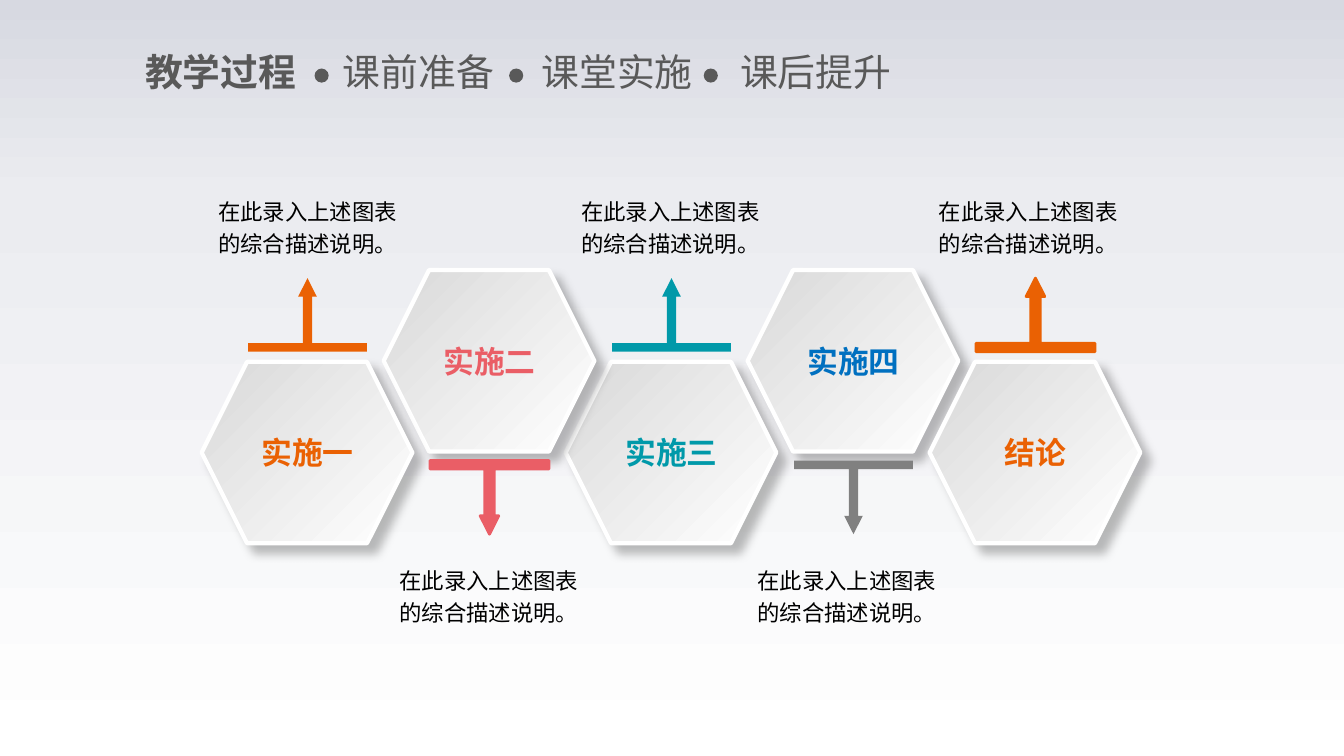
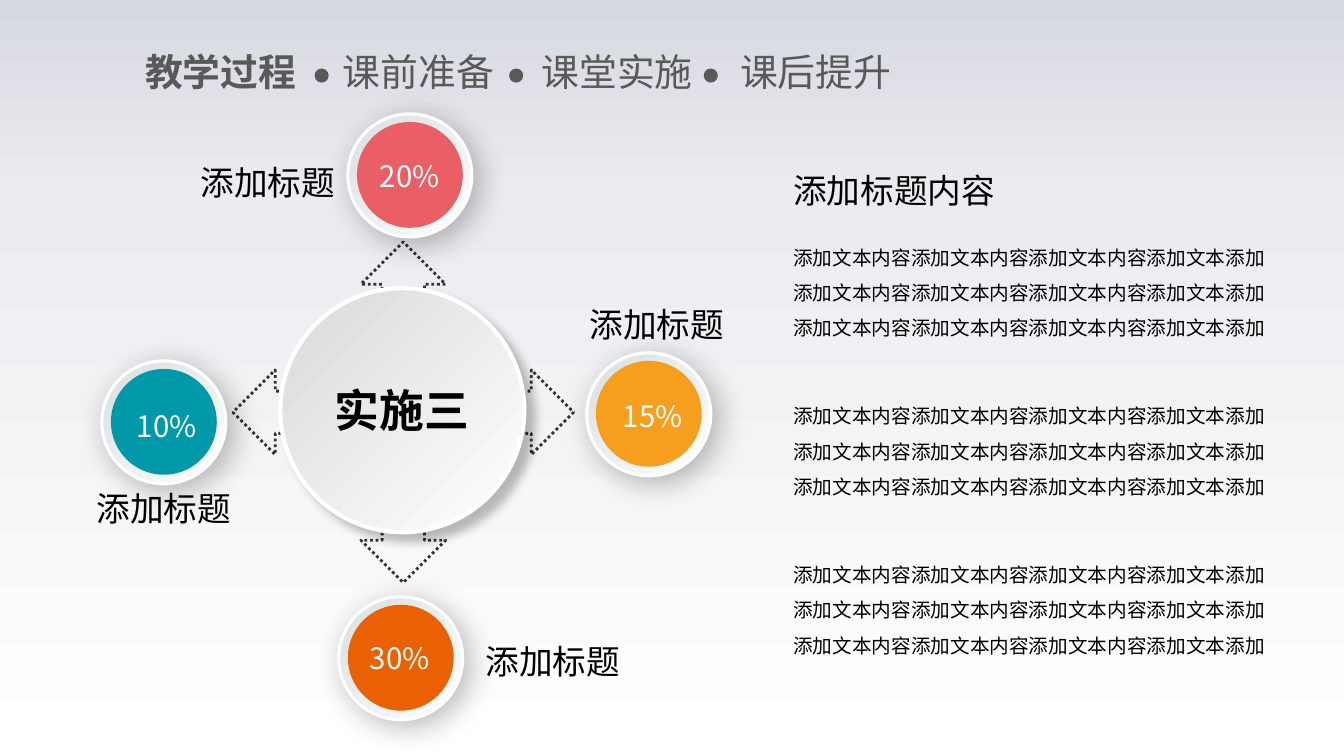
from lxml import etree
from pptx import Presentation
from pptx.dml.color import RGBColor
from pptx.enum.dml import MSO_LINE
from pptx.enum.shapes import MSO_SHAPE as SHAPE
from pptx.enum.text import MSO_AUTO_SIZE as AUTO_SIZE, PP_ALIGN as ALIGN
from pptx.oxml.ns import qn
from pptx.util import Inches, Pt

FONT = "Noto Sans CJK SC"
ORANGE, PINK, TEAL = "EA6103", "EA5E66", "0099A9"
BLUE, GREY, AMBER = "0070C0", "808080", "F69F1E"
BLACK, WHITE, TITLE_GREY, DASH_GREY = "000000", "FFFFFF", "595959", "333333"
BACKDROP = [(0, "D7D9E1"), (26, "EBECF0"), (100, WHITE)]
PLATE = [(0, "D9D9D9"), (100, WHITE)]
RING = [(0, "D9DEDF"), (100, WHITE)]
PLATE_SHADOW, RING_SHADOW = (25, 7, 8), (28, 22, 6)
LINE_HEIGHT = 1.2


def rgb(color):
    return RGBColor.from_string(color)


def gradient(fill, owner, stops, angle):
    """Fill with (percent, colour) stops; the angle runs clockwise."""
    fill.gradient()
    fill.gradient_angle = -angle % 360
    stop_list = next(owner.iter(qn("a:gsLst")))
    del stop_list[:]
    for percent, color in stops:
        stop = etree.SubElement(stop_list, qn("a:gs"), pos=str(percent * 1000))
        etree.SubElement(stop, qn("a:srgbClr"), val=color)


def add_shadow(shape, alpha, blur, distance):
    effects = shape._element.spPr.find(qn("a:effectLst"))
    outer = etree.SubElement(
        effects, qn("a:outerShdw"), blurRad=str(Pt(blur)), dist=str(Pt(distance)),
        dir=str(45 * 60000), algn="tl", rotWithShape="0")
    color = etree.SubElement(outer, qn("a:srgbClr"), val=BLACK)
    etree.SubElement(color, qn("a:alpha"), val=str(alpha * 1000))


def add_shape(slide, kind, left, top, width, height, color=None, outline=None):
    shape = slide.shapes.add_shape(
        kind, Inches(left), Inches(top), Inches(width), Inches(height))
    shape.shadow.inherit = False
    if color:
        shape.fill.solid()
        shape.fill.fore_color.rgb = rgb(color)
    if outline:
        shape.line.color.rgb = rgb(outline)
    else:
        shape.line.fill.background()
    return shape


def add_raised(slide, kind, left, top, width, height, stops, border, shadow):
    """Pale gradient shape with a white rim and a soft shadow."""
    shape = add_shape(slide, kind, left, top, width, height, outline=WHITE)
    gradient(shape.fill, shape._element, stops, 45)
    shape.line.width = Pt(border)
    add_shadow(shape, *shadow)


def add_text(slide, left, top, width, height, lines, size, color=BLACK,
             bold=False, align=ALIGN.LEFT, spacing=1, inset=True):
    box = slide.shapes.add_textbox(
        Inches(left), Inches(top), Inches(width), Inches(height))
    frame = box.text_frame
    frame.word_wrap = True
    frame.auto_size = AUTO_SIZE.SHAPE_TO_FIT_TEXT
    if not inset:
        frame.margin_left = frame.margin_right = 0
        frame.margin_top = frame.margin_bottom = 0
    frame.text = lines
    for paragraph in frame.paragraphs:
        paragraph.alignment = align
        paragraph.line_spacing = Pt(round(size * LINE_HEIGHT * spacing, 1))
        for run in paragraph.runs:
            run.font.name = FONT
            run.font.size = Pt(size)
            run.font.bold = bold
            run.font.color.rgb = rgb(color)
            east_asian = etree.SubElement(run._r.get_or_add_rPr(), qn("a:ea"))
            east_asian.set("typeface", FONT)


def add_title(slide):
    sections = [(1.44, "教学过程"), (3.4, "课前准备"), (5.37, "课堂实施"), (7.34, "课后提升")]
    for index, (left, section) in enumerate(sections):
        add_text(slide, left, 0.48, 1.65, 0.45, section, 27, TITLE_GREY,
                 bold=index == 0, inset=False)
    for left in (3.12, 5.05, 6.98):
        add_shape(slide, SHAPE.OVAL, left, 0.68, 0.14, 0.14, TITLE_GREY)


def add_callout(slide, left, raised, color, outlined):
    kind, top = ((SHAPE.DOWN_ARROW_CALLOUT, 4.57) if raised
                 else (SHAPE.UP_ARROW_CALLOUT, 2.76))
    callout = add_shape(slide, kind, left, top, 1.18, 0.73, color,
                        color if outlined else None)
    for index, value in enumerate((0.126, 0.126, 0.25, 0.115)):
        callout.adjustments[index] = value
    if outlined:
        callout.line.width = Pt(2)


def add_four_way_arrow(slide, center_x, center_y):
    """Dotted outline: one arm, turned by a quarter four times."""
    arm = [(-0.84, -0.84), (-0.21, -0.84), (-0.21, -1.27), (-0.42, -1.27),
           (0, -1.69), (0.42, -1.27), (0.21, -1.27), (0.21, -0.84)]
    points = []
    for _ in range(4):
        points += [(Inches(center_x + x), Inches(center_y + y)) for x, y in arm]
        arm = [(-y, x) for x, y in arm]
    builder = slide.shapes.build_freeform(*points[0])
    builder.add_line_segments(points[1:], close=True)
    arrow = builder.convert_to_shape()
    arrow.shadow.inherit = False
    arrow.fill.background()
    arrow.line.color.rgb = rgb(DASH_GREY)
    arrow.line.width = Pt(2)
    arrow.line.dash_style = MSO_LINE.ROUND_DOT


def build_steps(slide):
    first_left, pitch = 2, 1.805
    steps = [  # label, label colour, callout colour, callout outlined, note left
        ("实施一", ORANGE, ORANGE, False, 2.02),
        ("实施二", PINK, PINK, True, 3.82),
        ("实施三", TEAL, TEAL, False, 5.62),
        ("实施四", BLUE, GREY, False, 7.37),
        ("结论", ORANGE, ORANGE, True, 9.17),
    ]
    for index in (2, 3, 4, 1, 0):
        add_raised(slide, SHAPE.HEXAGON, first_left + index * pitch,
                   2.68 if index % 2 else 3.59, 2.09, 1.8, PLATE, 3, PLATE_SHADOW)
    for index, (label, color, callout_color, outlined, note_left) in enumerate(steps):
        left, raised = first_left + index * pitch, index % 2 == 1
        add_text(slide, left + 0.3, 3.35 if raised else 4.25, 1.5, 0.47, label,
                 22, color, bold=True, align=ALIGN.CENTER)
        add_callout(slide, left + 0.46, raised, callout_color, outlined)
        add_text(slide, note_left, 5.52 if raised else 1.86, 2.06, 0.75,
                 "在此录入上述图表的综合描述说明。", 16, align=ALIGN.CENTER, spacing=1.2)
    add_title(slide)


def build_shares(slide):
    add_title(slide)
    add_four_way_arrow(slide, 4, 4.09)
    shares = [  # share, colour, ring corner, share corner, caption corner
        ("10%", TEAL, (1.01, 3.58), (1.26, 4), (0.86, 4.79)),
        ("20%", PINK, (3.45, 1.13), (3.67, 1.52), (1.89, 1.56)),
        ("15%", AMBER, (5.82, 3.5), (6.08, 3.9), (5.75, 2.97)),
        ("30%", ORANGE, (3.36, 5.92), (3.57, 6.3), (4.72, 6.31)),
    ]
    for share, color, (left, top), share_corner, caption_corner in shares:
        add_raised(slide, SHAPE.OVAL, left, top, 1.23, 1.22, RING, 2.25, RING_SHADOW)
        add_shape(slide, SHAPE.OVAL, left + 0.09, top + 0.08, 1.05, 1.05, color)
        add_text(slide, *share_corner, 1.02, 0.45, share, 21, WHITE)
        add_text(slide, *caption_corner, 1.73, 0.5, "添加标题", 24)
    add_raised(slide, SHAPE.OVAL, 2.78, 2.86, 2.42, 2.42, PLATE, 3, PLATE_SHADOW)
    add_text(slide, 3.22, 3.75, 1.72, 0.64, "实施三", 32, bold=True)

    add_text(slide, 7.77, 1.64, 2.76, 0.5, "添加标题内容", 24)
    sentence = "添加文本内容" * 3 + "添加文本添加"
    for index in range(3):
        add_text(slide, 7.77, 2.27 + index * 1.575, 4.96, 1.16,
                 sentence + "\n" + sentence * 2, 14, spacing=1.5)


def main():
    deck = Presentation()
    deck.slide_width, deck.slide_height = Inches(13.33), Inches(7.5)
    master = deck.slide_master
    gradient(master.background.fill, master._element, BACKDROP, 90)
    blank = deck.slide_layouts[6]
    for build in (build_steps, build_shares):
        build(deck.slides.add_slide(blank))
    deck.save("out.pptx")


if __name__ == "__main__":
    main()
